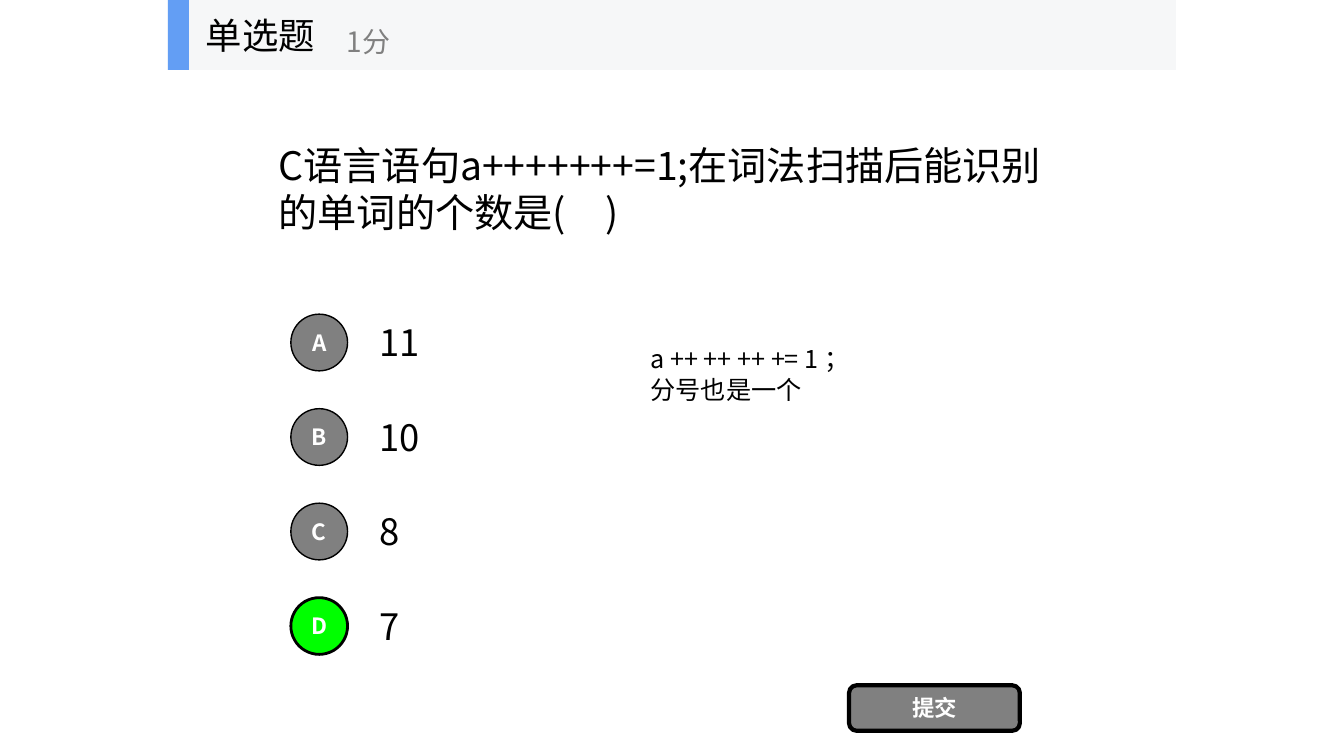
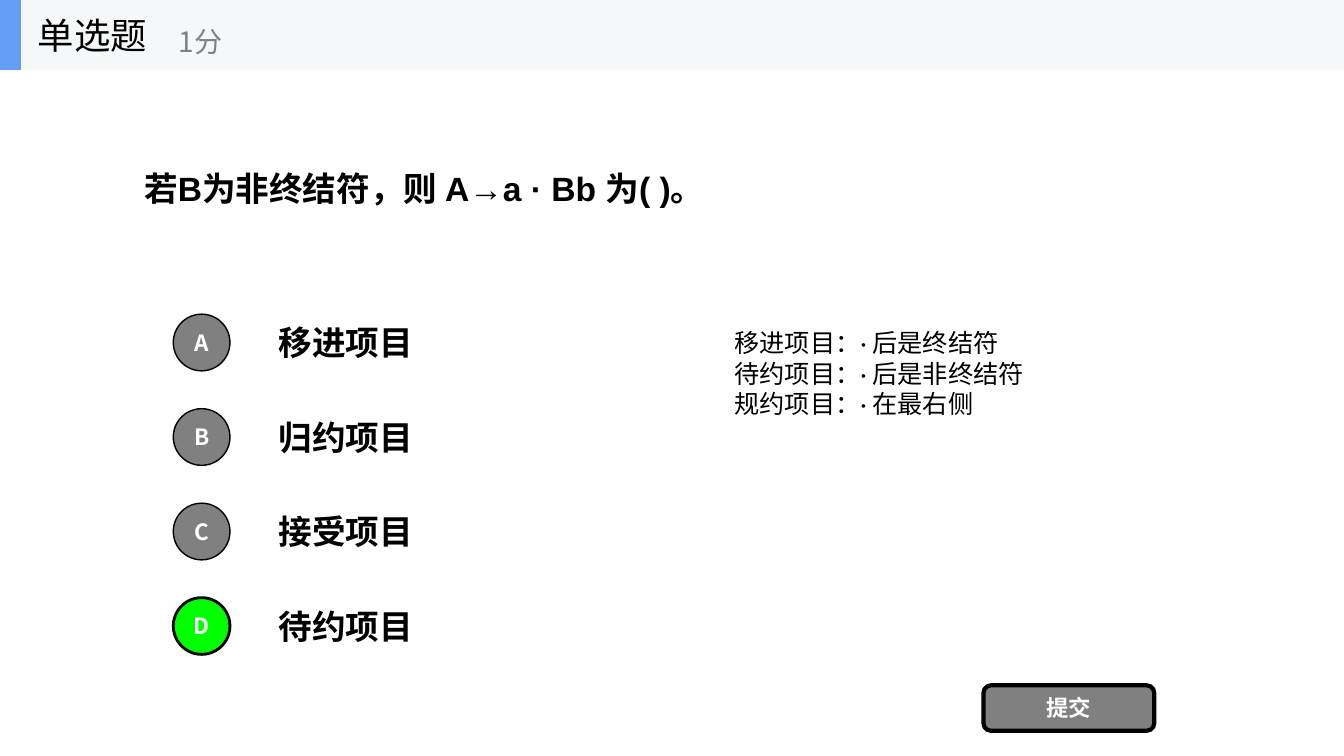
"""Build two single-choice quiz slides."""
from pptx import Presentation
from pptx.dml import color
from pptx.enum import shapes as s, text as t
from pptx.oxml import ns
from pptx.util import Pt
from lxml import etree

HUES = {"ink": "000000", "gray": "808080", "white": "FFFFFF",
        "band": "F6F7F8", "blue": "639EF4", "right": "00FF00"}
SANS = "Noto Sans CJK SC"
BAND = 50
KIND = s.MSO_SHAPE


def rgb(name):
    return color.RGBColor.from_string(HUES[name])


def write(frame, lines, size, hue="ink", face=SANS, bold=False, align="LEFT"):
    for i, line in enumerate(lines):
        para = frame.add_paragraph() if i else frame.paragraphs[0]
        para.alignment = getattr(t.PP_ALIGN, align)
        run = para.add_run()
        run.text = line
        font = run.font
        font.name, font.size, font.bold = face, Pt(size), bold
        font.color.rgb = rgb(hue)
        east = etree.SubElement(font._element, ns.qn("a:ea"))
        east.set("typeface", SANS)


def label(host, box, lines, size, mid=True, **style):
    frame = host.add_textbox(*map(Pt, box)).text_frame
    frame.word_wrap = True
    if mid:
        frame.vertical_anchor = t.MSO_ANCHOR.MIDDLE
    else:
        frame.auto_size = t.MSO_AUTO_SIZE.SHAPE_TO_FIT_TEXT
    write(frame, lines, size, **style)


def block(host, kind, box, fill, edge=0):
    shape = host.add_shape(kind, *map(Pt, box))
    shape.shadow.inherit = False
    shape.fill.solid()
    shape.fill.fore_color.rgb = rgb(fill)
    if edge:
        shape.line.color.rgb = rgb("ink")
        shape.line.width = Pt(edge)
    else:
        shape.line.fill.background()
    return shape


def button(host, kind, box, word, fill="gray", edge=1):
    frame = block(host, kind, box, fill, edge).text_frame
    frame.margin_left = frame.margin_right = 0
    frame.margin_top = frame.margin_bottom = 0
    frame.vertical_anchor = t.MSO_ANCHOR.MIDDLE
    write(frame, [word], 16, "white", bold=True, align="CENTER")


def header(host, left, wide):
    group = host.add_group_shape().shapes
    block(group, KIND.RECTANGLE, (left, 0, wide, BAND), "band")
    block(group, KIND.RECTANGLE, (left, 0, 15, BAND), "blue")
    label(group, (left + 20, 0, 150, BAND), ["单选题"], 26)
    label(group, (left + 120.5, 9, 180, 40.5), ["1分"], 20, hue="gray")


def choices(host, left, wide, words, key, size, style):
    disc, step = 40.5, 67.5
    mid = left + 0.15 * wide
    rows = [219.4 + step * i for i in range(len(words))]
    for top, word in zip(rows, words):
        label(host, (left + 0.2 * wide, top, 0.7 * wide, 50.4),
              [word], size, **style)
    for top, mark in zip(rows, "ABCD"):
        fill, edge = ("right", 2) if mark == key else ("gray", 1)
        button(host, KIND.OVAL, (mid - disc / 2, top + 5, disc, disc),
               mark, fill, edge)


def quiz(deck, left, wide, ask, words, key, sizes, style, note, spot, face):
    slide = deck.slides.add_slide(deck.slide_layouts[6])
    host = slide.shapes
    label(host, (left + 0.1 * wide, BAND, 0.8 * wide, 168.5),
          [ask], sizes[0], **style)
    choices(host, left, wide, words, key, sizes[1], style)
    button(host, KIND.ROUNDED_RECTANGLE,
           (left + 0.9 * wide - 162 + 0.5, 489.5, 122, 32.5),
           "提交", edge=3)
    header(host, left, wide)
    label(host, spot, note, 18, mid=False, face=face)


def main():
    deck = Presentation()
    deck.slide_width, deck.slide_height = Pt(960), Pt(540)
    quiz(deck, 120, 720,
         "C语言语句a+++++++=1;在词法扫描后能识别的单词的个数是(　)",
         ["11", "10", "8", "7"], "D", (28, 26), {},
         ["a ++ ++ ++ += 1 ；", "分号也是一个"],
         (457.5, 242, 240, 51), SANS)
    quiz(deck, 0, 960, "若B为非终结符，则 A→a · Bb 为( )。",
         ["移进项目", "归约项目", "接受项目", "待约项目"], "D", (24, 24),
         {"face": "Arial", "bold": True},
         ["移进项目：· 后是终结符", "待约项目：· 后是非终结符",
          "规约项目：· 在最右侧"],
         (517.5, 230.5, 320, 72.5), "Calibri")
    deck.save("out.pptx")


if __name__ == "__main__":
    main()
